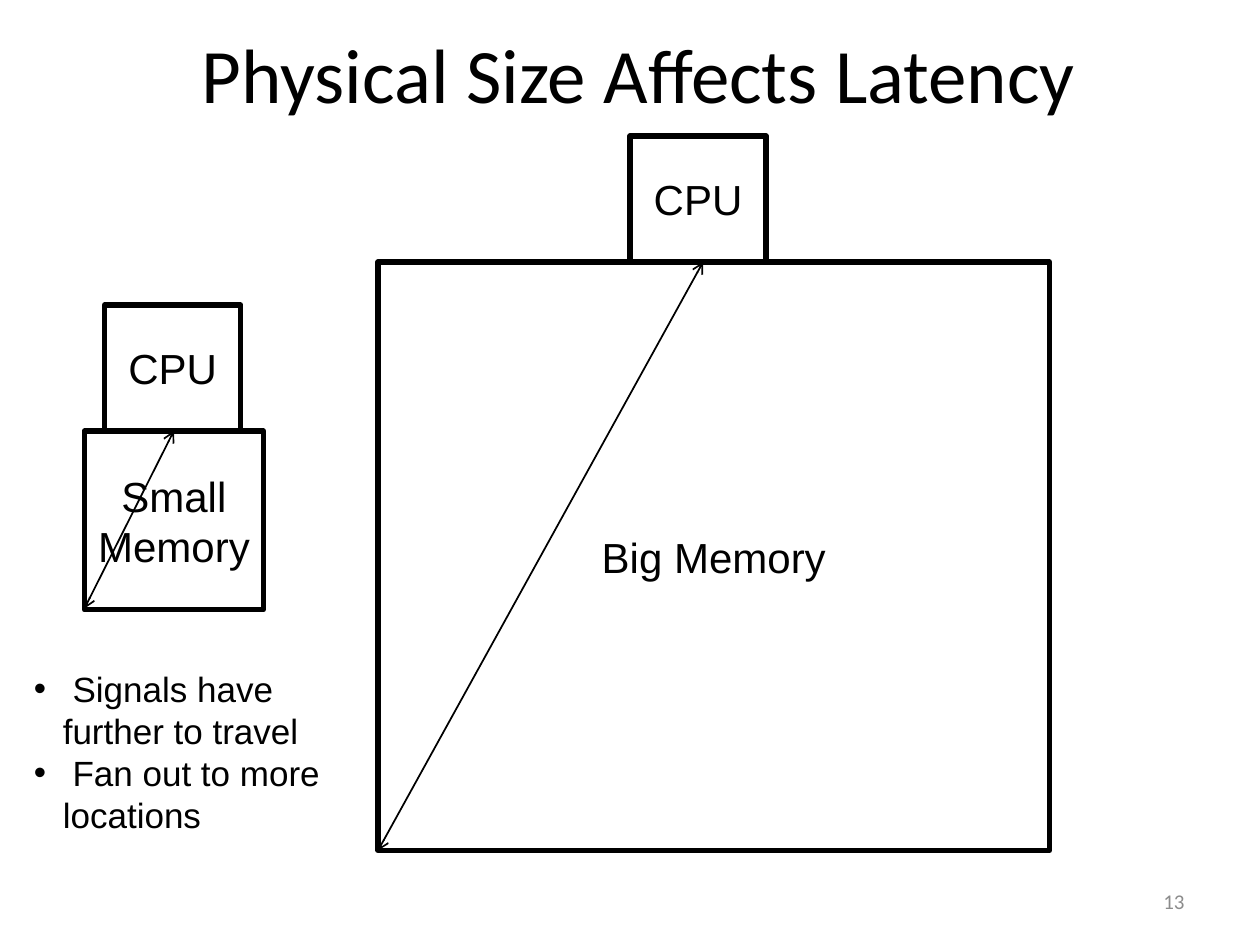
from lxml.etree import SubElement
from pptx import Presentation
from pptx.dml.color import RGBColor
from pptx.enum.shapes import MSO_CONNECTOR as Link, MSO_SHAPE as Shape
from pptx.enum.text import MSO_ANCHOR as Anchor, PP_ALIGN as Align
from pptx.oxml.ns import qn
from pptx.util import Inches, Pt

BLACK = "000000"
WHITE = "FFFFFF"
GREY = "8C8C8C"


def paint(color, value):
    color.rgb = RGBColor.from_string(value)


def style(para, size, face="Arial", color=BLACK, align=Align.LEFT):
    para.alignment = align
    for run in para.runs:
        run.font.size = Pt(size)
        run.font.name = face
        paint(run.font.color, color)


def place(shape, left, top, width, height):
    shape.left, shape.top = Inches(left), Inches(top)
    shape.width, shape.height = Inches(width), Inches(height)


def add_title(slide, text):
    title = slide.shapes.title
    place(title, 1.08, 0.17, 7.98, 0.81)
    frame = title.text_frame
    frame.text = text
    frame.vertical_anchor = Anchor.MIDDLE
    style(frame.paragraphs[0], 44, "Calibri", align=Align.CENTER)


def add_box(slide, text, left, top, width, height):
    box = slide.shapes.add_shape(
        Shape.RECTANGLE, Inches(left), Inches(top), Inches(width), Inches(height))
    box.shadow.inherit = False
    box.fill.solid()
    paint(box.fill.fore_color, WHITE)
    paint(box.line.color, BLACK)
    box.line.width = Pt(3)
    frame = box.text_frame
    frame.word_wrap = True
    frame.vertical_anchor = Anchor.MIDDLE
    frame.text = text
    style(frame.paragraphs[0], 24, align=Align.CENTER)
    return box


def add_arrow(slide, start, end):
    """Draw a thin line with an open arrowhead at both ends."""
    arrow = slide.shapes.add_connector(
        Link.STRAIGHT, *(Inches(n) for n in (*start, *end)))
    paint(arrow.line.color, BLACK)
    arrow.line.width = Pt(1)
    line = arrow.line._get_or_add_ln()
    for tag in ("a:headEnd", "a:tailEnd"):
        SubElement(line, qn(tag), type="arrow")
    SubElement(arrow._element.spPr, qn("a:effectLst"))
    return arrow


def add_text(slide, left, top, width, height):
    box = slide.shapes.add_textbox(
        Inches(left), Inches(top), Inches(width), Inches(height))
    box.text_frame.word_wrap = True
    return box.text_frame


def add_list(slide, items):
    frame = add_text(slide, 0.17, 5.25, 2.58, 1.62)
    frame.text = "\n".join(items)
    for para in frame.paragraphs:
        props = para._p.get_or_add_pPr()
        props.set("marL", str(Inches(0.23)))
        props.set("indent", str(-Inches(0.23)))
        SubElement(props, qn("a:buFont"), typeface="Arial")
        SubElement(props, qn("a:buChar"), char="•")
        style(para, 20)


def add_number(slide, text):
    frame = add_text(slide, 7.17, 6.95, 2.33, 0.4)
    frame.vertical_anchor = Anchor.MIDDLE
    frame.text = text
    style(frame.paragraphs[0], 12, "Calibri", GREY, Align.RIGHT)


def main():
    deck = Presentation()
    deck.slide_width, deck.slide_height = Inches(10), Inches(7.5)
    slide = deck.slides.add_slide(deck.slide_layouts[5])
    add_title(slide, "Physical Size Affects Latency")
    add_number(slide, "13")

    small = add_box(slide, "Small Memory", 0.67, 3.42, 1.42, 1.42)
    arrow = add_arrow(slide, (0.67, 4.83), (1.38, 3.42))
    arrow.end_connect(small, 0)
    add_box(slide, "CPU", 0.83, 2.42, 1.08, 1)

    add_box(slide, "Big Memory", 3, 2.08, 5.33, 4.67)
    add_arrow(slide, (3, 6.75), (5.58, 2.08))
    add_box(slide, "CPU", 5, 1.08, 1.08, 1)

    add_list(slide, [" Signals have further to travel",
                     " Fan out to more locations"])
    deck.save("out.pptx")


if __name__ == "__main__":
    main()
